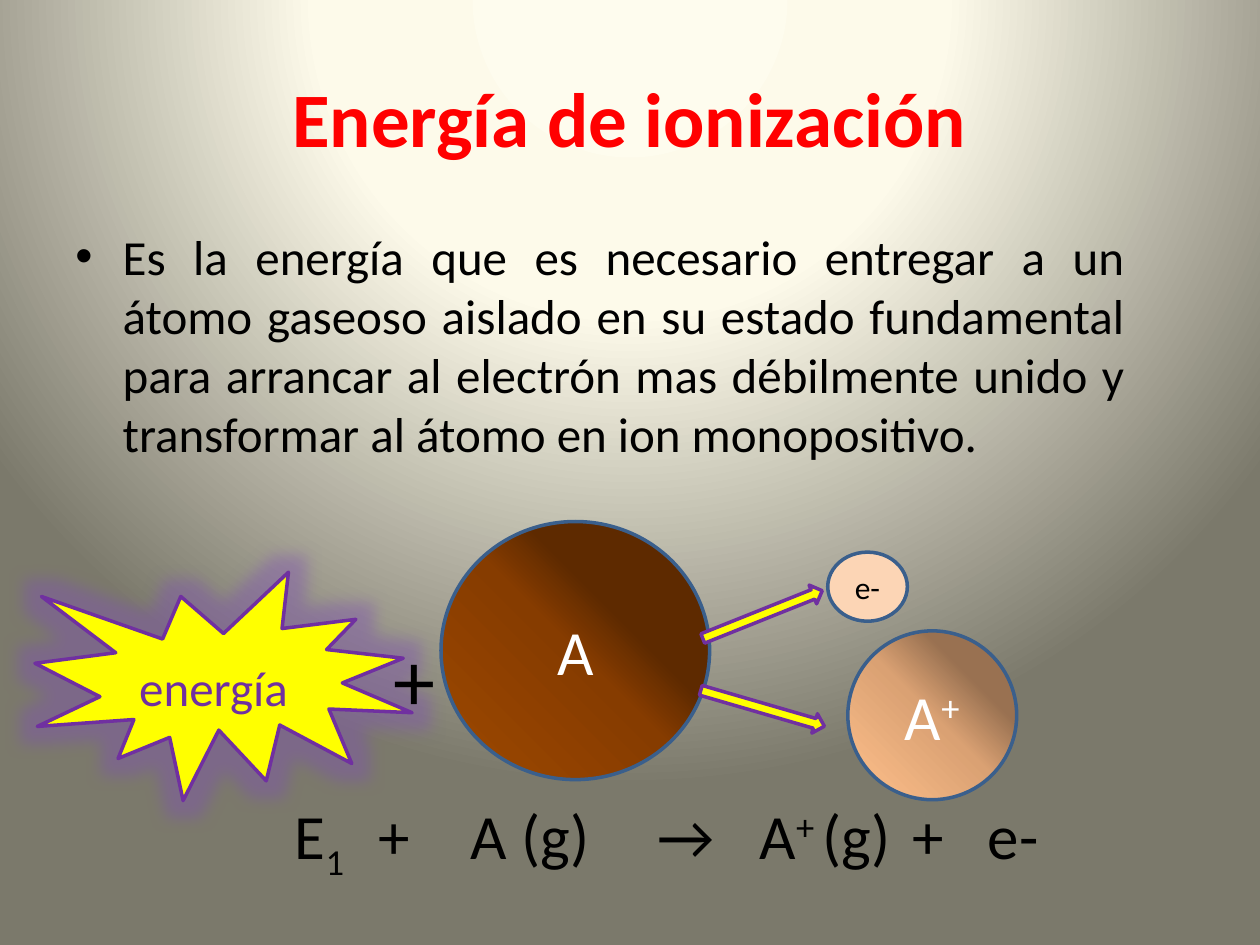
from pptx import Presentation
from pptx import util as u
from pptx.dml.color import RGBColor
from pptx.enum import shapes, text
from pptx.oxml import parse_xml
from pptx.oxml.ns import nsdecls, qn
from lxml import etree

Pt = u.Pt
FONT = "Calibri"
COLORS = {
    "title": "FF0000", "text": "000000", "light": "FFFFFF",
    "energy": "FFFF00", "purple": "7030A0", "glow": "7E4FB5",
    "outline": "3A5F8C", "electron": "FCD5B5",
}
# Gradient stops: (position in percent, colour)
BACKGROUND = [(0, "FEFCEE"), (40, "FDFAEA"), (100, "7B796B")]
ATOM = [(35, "5E2A00"), (50, "863C00"), (100, "9E4800")]
ION = [(27, "997151"), (50, "DAA173"), (100, "FFC08B")]
TOP_RIGHT = (100, 0, 0, 100)
CENTER, LEFT, JUSTIFY = (
    text.PP_ALIGN.CENTER, text.PP_ALIGN.LEFT, text.PP_ALIGN.JUSTIFY)


def rgb(name):
    return RGBColor.from_string(COLORS[name])


def set_box(sp, box):
    sp.left, sp.top, sp.width, sp.height = (Pt(v) for v in box)


def add_run(p, content, size, color, baseline=0, bold=False):
    r = p.add_run()
    r.text = content
    r.font.name, r.font.size, r.font.bold = FONT, Pt(size), bold
    r.font.color.rgb = rgb(color)
    if baseline:
        r.font._element.set("baseline", str(baseline * 1000))


def radial_gradient(fill, owner, stops, focus):
    """Give a fill a circular gradient around the focus rectangle."""
    fill.gradient()
    grad = next(owner.iter(qn("a:gradFill")))
    stop_xml = "".join(
        f'<a:gs pos="{pos * 1000}"><a:srgbClr val="{color}"/></a:gs>'
        for pos, color in stops)
    l, t, r, b = (v * 1000 for v in focus)
    grad.getparent().replace(grad, parse_xml(
        f'<a:gradFill {nsdecls("a")} rotWithShape="1">'
        f'<a:gsLst>{stop_xml}</a:gsLst><a:path path="circle">'
        f'<a:fillToRect l="{l}" t="{t}" r="{r}" b="{b}"/></a:path></a:gradFill>'))


def add_shape(s, kind, box, fill, line, rotation=0):
    """Add a preset shape; fill is a colour name or a list of stops."""
    sp = s.shapes.add_shape(kind, *(Pt(v) for v in box))
    sp.rotation = rotation
    sp.shadow.inherit = False
    if isinstance(fill, str):
        sp.fill.solid()
        sp.fill.fore_color.rgb = rgb(fill)
    else:
        radial_gradient(sp.fill, sp._element, fill, TOP_RIGHT)
    sp.line.color.rgb = rgb(line)
    sp.line.width = Pt(2)
    return sp


def add_glow(sp, color, radius):
    effects = sp._element.spPr.find(qn("a:effectLst"))
    glow = etree.SubElement(effects, qn("a:glow"), rad=str(Pt(radius)))
    clr = etree.SubElement(glow, qn("a:srgbClr"), val=COLORS[color])
    etree.SubElement(clr, qn("a:alpha"), val="40000")


def add_particle(s, box, fill, size, color, label, charge=""):
    sp = add_shape(s, shapes.MSO_SHAPE.OVAL, box, fill, "outline")
    tf = sp.text_frame
    tf.vertical_anchor = text.MSO_ANCHOR.MIDDLE
    p = tf.paragraphs[0]
    p.alignment = CENTER
    add_run(p, label, size, color)
    if charge:
        add_run(p, charge, size, color, 30)


def add_text(s, box, runs, size, color="text", align=LEFT):
    """Add a text box of (content, baseline) runs; return its paragraph."""
    tf = s.shapes.add_textbox(*(Pt(v) for v in box)).text_frame
    tf.word_wrap = True
    p = tf.paragraphs[0]
    p.alignment = align
    for content, baseline in runs:
        add_run(p, content, size, color, baseline)
    return p


def add_bullet(p, indent):
    pPr = p._p.get_or_add_pPr()
    pPr.set("marL", str(Pt(indent)))
    pPr.set("indent", str(-Pt(indent)))
    etree.SubElement(pPr, qn("a:buFont"), typeface="Arial")
    etree.SubElement(pPr, qn("a:buChar"), char="•")


def add_tabs(p, stops):
    tabs = etree.SubElement(p._p.get_or_add_pPr(), qn("a:tabLst"))
    for pos in stops:
        etree.SubElement(tabs, qn("a:tab"), pos=str(Pt(pos)), algn="l")


def set_title(s, content):
    sp = s.shapes.title
    set_box(sp, (36, 21.6, 648, 90))
    sp.text_frame.vertical_anchor = text.MSO_ANCHOR.MIDDLE
    p = sp.text_frame.paragraphs[0]
    p.alignment = CENTER
    add_run(p, content, 44, "title", bold=True)


def main():
    prs = Presentation()
    prs.slide_width, prs.slide_height = Pt(720), Pt(540)
    s = prs.slides.add_slide(prs.slide_layouts[5])
    radial_gradient(s.background.fill, s._element, BACKGROUND,
                    (50, -80, 50, 180))

    # Title and definition
    set_title(s, "Energía de ionización")
    definition = (
        "Es la energía que es necesario entregar a un átomo gaseoso aislado "
        "en su estado fundamental para arrancar al electrón mas débilmente "
        "unido y transformar al átomo en ion monopositivo.")
    p = add_text(s, (36, 126, 613.5, 155.5), [(definition, 0)], 28,
                 align=JUSTIFY)
    p.space_before = Pt(5.6)
    add_bullet(p, 27)

    # Energy burst and the atom that receives it
    burst = add_shape(s, shapes.MSO_SHAPE.EXPLOSION1,
                      (20, 327, 215.5, 130.5), "energy", "purple")
    add_glow(burst, "glow", 18)
    add_text(s, (65.5, 372, 113, 41), [("energía", 0)], 28, "purple", CENTER)
    add_text(s, (218, 355, 39.5, 65.5), [("+", 0)], 48)
    add_particle(s, (252, 298, 153.5, 147.5), ATOM, 36, "light", "A")

    # Reaction equation, spaced with tab stops
    p = add_text(s, (161.5, 451.5, 471, 51),
                 [("E", 0), ("1", -25), ("\t+\tA (g)\t→\tA", 0),
                  ("+ ", 30), ("(g)\t+\te-", 0)], 36)
    add_tabs(p, (48, 100.5, 207, 265.5, 353, 396))

    # Arrows to the products
    for top, angle in ((345.5, 338.2), (399, 16.2)):
        add_shape(s, shapes.MSO_SHAPE.RIGHT_ARROW, (399, top, 73.5, 11.5),
                  "energy", "purple", angle)

    # Products: ion and electron
    add_particle(s, (484.5, 360.5, 96.5, 96.5), ION, 36, "light", "A", "+")
    add_particle(s, (473, 315.5, 45.5, 39.5), "electron", 18, "text", "e-")

    prs.save("out.pptx")


if __name__ == "__main__":
    main()
